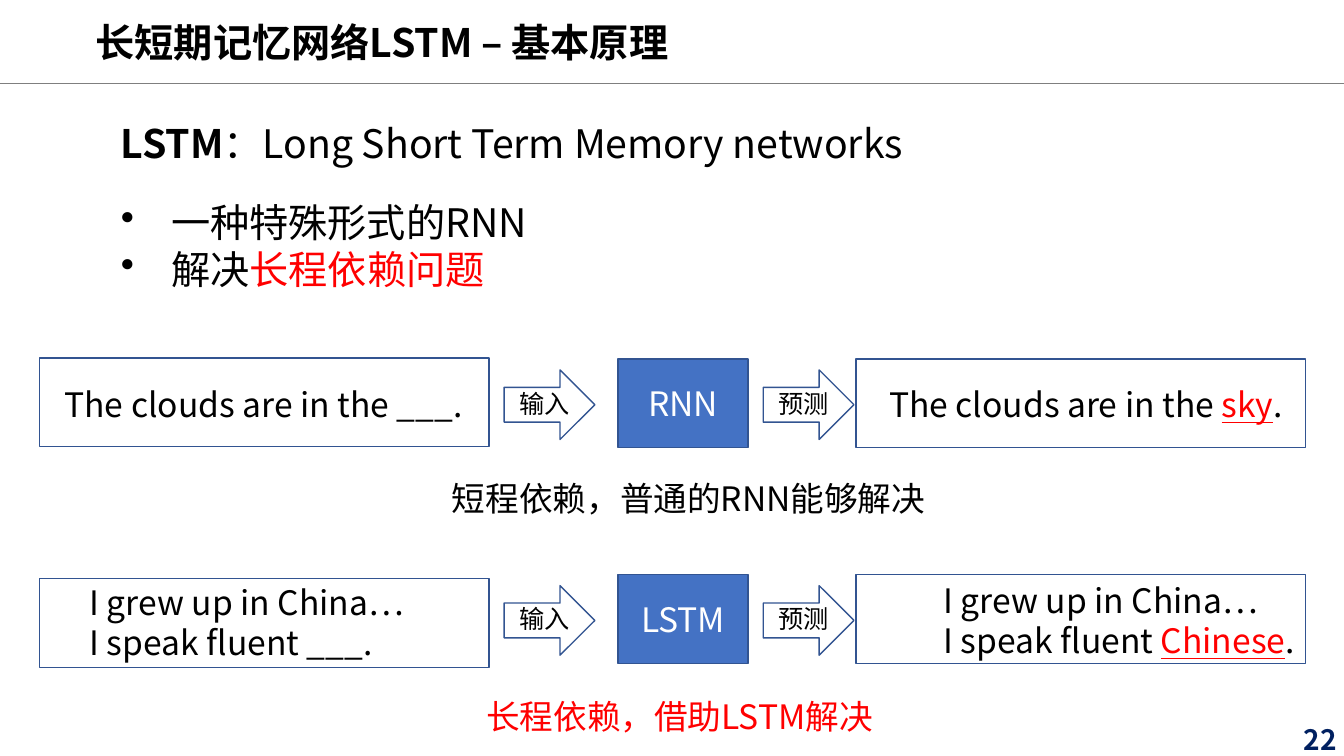
import pptx
import pptx.dml.color
import pptx.enum.shapes
import pptx.enum.text
import pptx.oxml.ns
import pptx.util
from lxml import etree

Inches = pptx.util.Inches
SHAPES = pptx.enum.shapes.MSO_SHAPE
ALIGN = pptx.enum.text.PP_ALIGN
FONT = "Noto Sans CJK SC"
COLORS = {
    "text": "000000",
    "accent": "FF0000",
    "model": "4472C4",
    "outline": "325491",
    "rule": "7F7F7F",
    "number": "002060",
    "light": "FFFFFF",
}


def rgb(name):
    return pptx.dml.color.RGBColor.from_string(COLORS[name])


def add_run(paragraph, words, size, color="text", bold=False, underline=False):
    run = paragraph.add_run()
    run.text = words
    run.font.size = pptx.util.Pt(size)
    run.font.name = FONT
    run.font.bold = bold
    run.font.underline = underline
    run.font.color.rgb = rgb(color)
    east_asian = etree.SubElement(run.font._element, pptx.oxml.ns.qn("a:ea"))
    east_asian.set("typeface", FONT)


def add_text(slide, box, lines, size, align=ALIGN.LEFT, wrap=True, indent=0, bullet=False):
    frame = slide.shapes.add_textbox(*map(Inches, box)).text_frame
    frame.word_wrap = wrap
    frame.auto_size = pptx.enum.text.MSO_AUTO_SIZE.SHAPE_TO_FIT_TEXT
    for index, line in enumerate(lines):
        paragraph = frame.paragraphs[0] if index == 0 else frame.add_paragraph()
        paragraph.alignment = align
        properties = paragraph._p.get_or_add_pPr()
        properties.set("marL", str(Inches(indent)))
        properties.set("indent", str(-Inches(indent) if bullet else 0))
        if bullet:
            mark = etree.SubElement(properties, pptx.oxml.ns.qn("a:buChar"))
            mark.set("char", "•")
        for words, style in line:
            add_run(paragraph, words, size, **style)


def add_block(slide, kind, box, fill=None):
    block = slide.shapes.add_shape(kind, *map(Inches, box))
    block.shadow.inherit = False
    if fill:
        block.fill.solid()
        block.fill.fore_color.rgb = rgb(fill)
    else:
        block.fill.background()
    block.line.color.rgb = rgb("outline")
    block.line.width = pptx.util.Pt(1)
    return block


def add_header(slide, box, title):
    left, top, width, height = box
    bottom = Inches(top + height)
    rule = slide.shapes.add_connector(
        pptx.enum.shapes.MSO_CONNECTOR.STRAIGHT,
        Inches(left), bottom, Inches(left + width), bottom)
    rule.line.color.rgb = rgb("rule")
    rule.line.width = pptx.util.Pt(0.75)
    etree.SubElement(rule._element.spPr, pptx.oxml.ns.qn("a:effectLst"))
    add_text(slide, (left + 0.85, top + 0.13, 13, 0.57), [[(title, {"bold": True})]], 28)


def add_definition(slide, box, term, points):
    left, top, width, height = box
    add_text(slide, (left, top, width, 0.57), [term], 28, wrap=False)
    add_text(slide, (left, top + 0.79, 4.35, height - 0.79), points, 28,
             wrap=False, indent=0.5, bullet=True)


def add_step(slide, box, label):
    left, top, width, height = box
    arrow = add_block(slide, SHAPES.DOWN_ARROW,
                      (left + (width - height) / 2, top + (height - width) / 2, height, width))
    arrow.rotation = 270
    add_text(slide, (left - 0.1, top + 0.13, 1, 0.4), [[(label, {})]], 18, align=ALIGN.CENTER)


def add_pipeline(slide, box, model, prompt, prompt_box, prompt_drop, answer, answer_box,
                 caption, caption_box, caption_color):
    left, top, width, height = box
    sentence_width = 4.46

    def place(spot):
        x, y, w, h = spot
        return left + x, top + y, w, h

    add_block(slide, SHAPES.RECTANGLE, (left, top + prompt_drop, sentence_width, height))
    add_block(slide, SHAPES.RECTANGLE,
              (left + width - sentence_width, top, sentence_width, height))
    network = add_block(slide, SHAPES.RECTANGLE, place((5.74, 0, 1.29, height)), "model")
    network.text_frame.vertical_anchor = pptx.enum.text.MSO_ANCHOR.MIDDLE
    name = network.text_frame.paragraphs[0]
    name.alignment = ALIGN.CENTER
    add_run(name, model, 24, "light")
    for label, offset in (("输入", 4.61), ("预测", 7.18)):
        add_step(slide, place((offset, 0.11, 0.9, 0.69)), label)
    add_text(slide, place(prompt_box), prompt, 24, wrap=False, indent=0.5)
    add_text(slide, place(answer_box), answer, 24, wrap=False, indent=0.5)
    add_text(slide, place(caption_box), [[(caption, {"color": caption_color})]], 24,
             align=ALIGN.CENTER)


def add_page_number(slide, box, number):
    add_text(slide, box, [[(number, {"color": "number", "bold": True})]], 20, wrap=False)


def main():
    deck = pptx.Presentation()
    deck.slide_width = Inches(13.33)
    deck.slide_height = Inches(7.5)
    slide = deck.slides.add_slide(deck.slide_layouts[6])
    filled = {"color": "accent", "underline": True}

    add_header(slide, (0, 0, 13.33, 0.83), "长短期记忆网络LSTM – 基本原理")
    add_definition(
        slide, (1.1, 1.13, 8.3, 1.83),
        [("LSTM", {"bold": True}), ("：Long Short Term Memory networks", {})],
        [[("一种特殊形式的RNN", {})],
         [("解决", {}), ("长程依赖问题", {"color": "accent"})]])
    add_pipeline(
        slide, (0.39, 3.56, 12.56, 0.88), "RNN",
        [[("The clouds are in the ___.", {})]], (-0.35, 0.2, 4.7, 0.5), -0.01,
        [[("The clouds are in the ", {}), ("sky", filled), (".", {})]],
        (7.83, 0.2, 4.92, 0.5),
        "短程依赖，普通的RNN能够解决", (3.84, 1.13, 5.2, 0.5), "text")
    add_pipeline(
        slide, (0.39, 5.7, 12.56, 0.88), "LSTM",
        [[("I grew up in China…", {})], [("I speak fluent ___.", {})]],
        (-0.1, 0.02, 3.91, 0.91), 0.04,
        [[("I grew up in China…", {})],
         [("I speak fluent ", {}), ("Chinese", filled), (".", {})]],
        (8.37, 0, 4.32, 0.91),
        "长程依赖，借助LSTM解决", (3.75, 1.15, 5.2, 0.5), "accent")
    add_page_number(slide, (12.83, 7.12, 0.54, 0.44), "22")
    deck.save("out.pptx")


if __name__ == "__main__":
    main()
